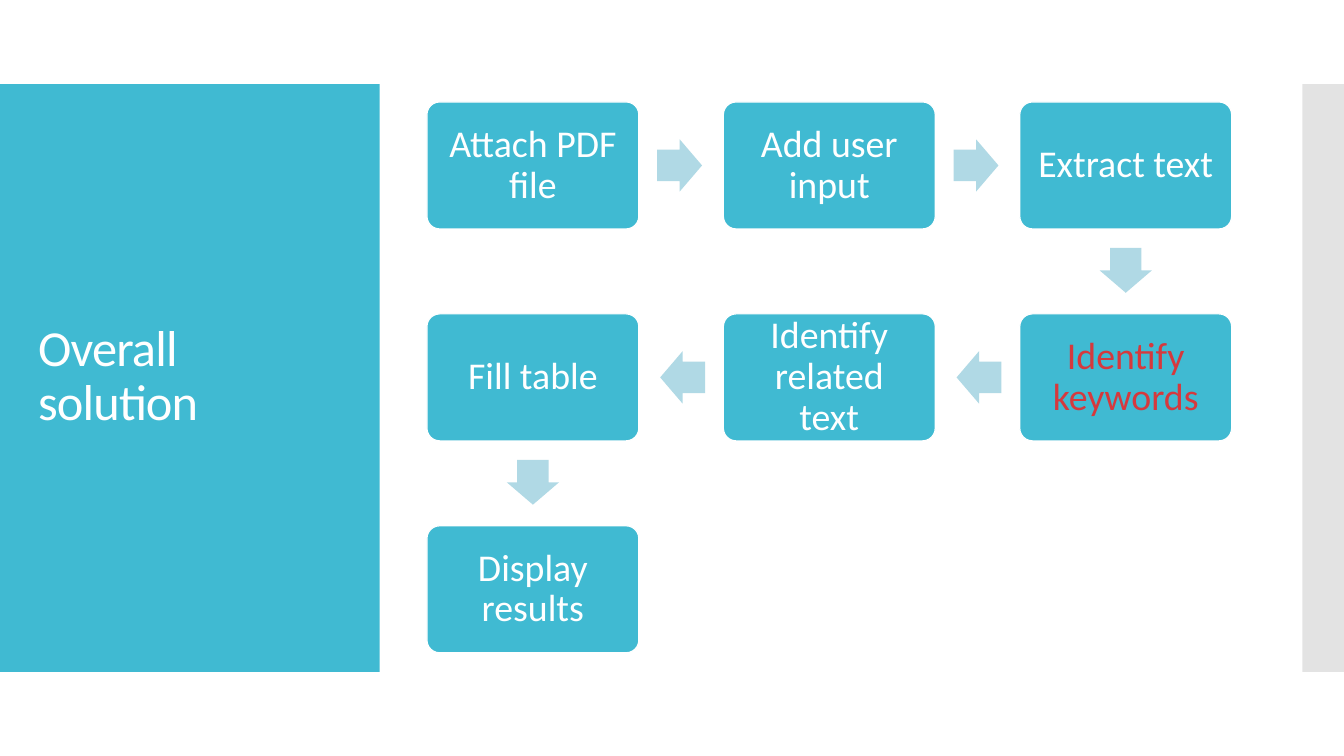
"""Builds the overall solution slide: a title panel beside a winding process flow."""
from lxml import etree
from pptx import Presentation
from pptx.dml.color import RGBColor
from pptx.enum.shapes import MSO_SHAPE
from pptx.enum.text import MSO_ANCHOR, MSO_AUTO_SIZE, PP_ALIGN
from pptx.oxml.ns import qn
from pptx.util import Cm, Pt

RECTANGLE = MSO_SHAPE.RECTANGLE
ROUNDED = MSO_SHAPE.ROUNDED_RECTANGLE
ARROW = MSO_SHAPE.RIGHT_ARROW
MIDDLE = MSO_ANCHOR.MIDDLE
NO_AUTOFIT = MSO_AUTO_SIZE.NONE
LEFT, CENTER = PP_ALIGN.LEFT, PP_ALIGN.CENTER

TITLE_ONLY = 5
TEAL, PALE_TEAL, GREY = "40BAD2", "B0D9E5", "C8C8C8"
WHITE, RED = "FFFFFF", "D5393D"

GRID_LEFT, GRID_TOP = 10.76, 2.57
STEP_X, STEP_Y = 7.47, 5.34
BOX_WIDTH, BOX_HEIGHT = 5.34, 3.2
ARROW_LENGTH, ARROW_BREADTH = 1.13, 1.32
ARROW_POSITION = 0.495

STEPS = [
    ("Attach PDF file", 0, 0, WHITE),
    ("Add user input", 1, 0, WHITE),
    ("Extract text", 2, 0, WHITE),
    ("Identify keywords", 2, 1, RED),
    ("Identify related text", 1, 1, WHITE),
    ("Fill table", 0, 1, WHITE),
    ("Display results", 0, 2, WHITE),
]


def color(value):
    """Turn a hex string into a colour."""
    return RGBColor.from_string(value)


def write_text(shape, text, size, fill=WHITE, align=LEFT, inset=0.25, spacing=0):
    """Write one formatted paragraph, vertically centred, into a shape."""
    frame = shape.text_frame
    frame.auto_size = NO_AUTOFIT
    frame.word_wrap = True
    frame.vertical_anchor = MIDDLE
    frame.margin_left = frame.margin_right = Cm(inset)
    frame.margin_top = frame.margin_bottom = Cm(inset)
    paragraph = frame.paragraphs[0]
    paragraph.alignment = align
    paragraph.line_spacing = 0.9
    run = paragraph.add_run()
    run.text = text
    run.font.size = Pt(size)
    run.font.name = "Calibri"
    run.font.color.rgb = color(fill)
    if spacing:
        run.font._element.set("spc", str(spacing))


def add_filled(slide, kind, left, top, width, height, fill, line=None):
    """Add a flat preset shape, measured in centimetres."""
    shape = slide.shapes.add_shape(kind, Cm(left), Cm(top), Cm(width), Cm(height))
    shape.shadow.inherit = False
    shape.fill.solid()
    shape.fill.fore_color.rgb = color(fill)
    if line:
        shape.line.color.rgb = color(line)
        shape.line.width = Pt(0.85)
    else:
        shape.line.fill.background()
    return shape


def set_opacity(shape, percent):
    """Make a solid fill partly transparent."""
    fill_color = shape.element.spPr.find(qn("a:solidFill"))[0]
    etree.SubElement(fill_color, qn("a:alpha")).set("val", str(percent * 1000))


def add_title(slide, text):
    """Format the title placeholder and bring it in front of the panel."""
    title = slide.shapes.title
    title.left, title.top = Cm(0.71), Cm(3.12)
    title.width, title.height = Cm(8.18), Cm(12.78)
    write_text(title, text, 36, spacing=-60)
    title.element.getparent().append(title.element)


def box_center(column, row):
    """Give the centre of a grid cell's box."""
    return (GRID_LEFT + column * STEP_X + BOX_WIDTH / 2,
            GRID_TOP + row * STEP_Y + BOX_HEIGHT / 2)


def add_step(slide, text, column, row, text_color):
    """Add one process box at its grid cell."""
    x, y = box_center(column, row)
    box = add_filled(slide, ROUNDED, x - BOX_WIDTH / 2, y - BOX_HEIGHT / 2,
                     BOX_WIDTH, BOX_HEIGHT, TEAL, line=WHITE)
    box.adjustments[0] = 0.1
    write_text(box, text, 27, fill=text_color, align=CENTER, inset=0.37)


def add_arrow(slide, start, end):
    """Add a block arrow between two neighbouring grid cells."""
    columns, rows = end[0] - start[0], end[1] - start[1]
    x, y = box_center(start[0] + columns * ARROW_POSITION,
                      start[1] + rows * ARROW_POSITION)
    arrow = add_filled(slide, ARROW, x - ARROW_LENGTH / 2, y - ARROW_BREADTH / 2,
                       ARROW_LENGTH, ARROW_BREADTH, PALE_TEAL)
    arrow.adjustments[0] = 0.6
    arrow.adjustments[1] = 0.5
    arrow.rotation = {(1, 0): 0, (0, 1): 90, (-1, 0): 180}[columns, rows]


def main():
    """Build and save the slide."""
    presentation = Presentation()
    presentation.slide_width, presentation.slide_height = Cm(33.87), Cm(19.05)
    slide = presentation.slides.add_slide(presentation.slide_layouts[TITLE_ONLY])
    add_filled(slide, RECTANGLE, 0, 2.12, 9.57, 14.81, TEAL)
    side_bar = add_filled(slide, RECTANGLE, 32.82, 2.12, 1.05, 14.81, GREY)
    set_opacity(side_bar, 50)
    add_title(slide, "Overall solution")
    for step in STEPS:
        add_step(slide, *step)
    for start, end in zip(STEPS, STEPS[1:]):
        add_arrow(slide, start[1:3], end[1:3])
    presentation.save("out.pptx")


if __name__ == "__main__":
    main()
